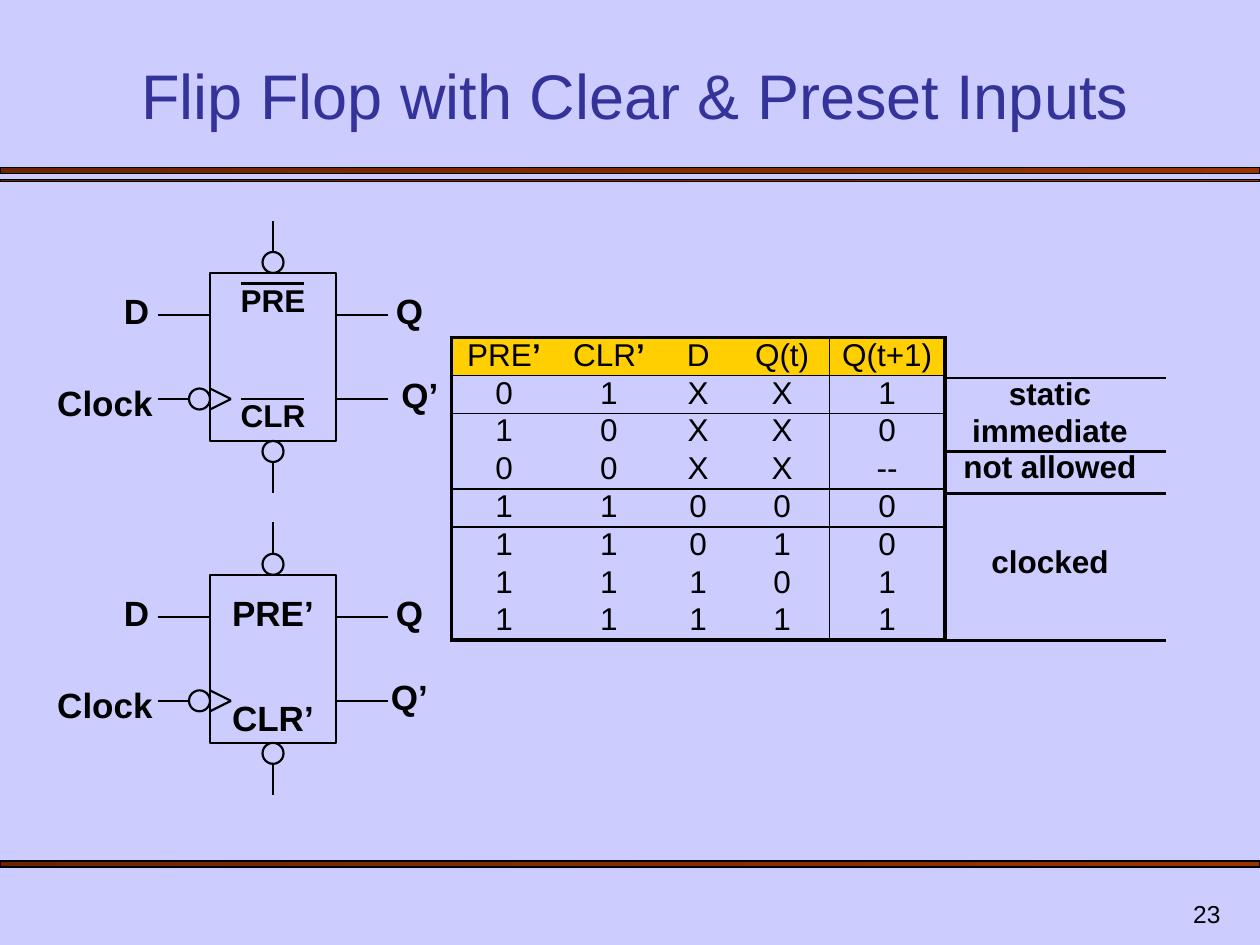
from lxml import etree
from pptx import Presentation
from pptx.dml.color import RGBColor
from pptx.enum.shapes import MSO_CONNECTOR, MSO_SHAPE
from pptx.enum.text import MSO_ANCHOR, MSO_AUTO_SIZE, PP_ALIGN
from pptx.oxml.ns import qn
from pptx.util import Pt

RECT, OVAL = MSO_SHAPE.RECTANGLE, MSO_SHAPE.OVAL
WIRE = MSO_CONNECTOR.STRAIGHT
TOP, BASE = MSO_ANCHOR.TOP, MSO_ANCHOR.BOTTOM
MID, RIGHT = PP_ALIGN.CENTER, PP_ALIGN.RIGHT
FIXED = MSO_AUTO_SIZE.NONE

BLACK, PAPER, NAVY, GOLD = "000000", "CCCCFF", "333399", "FFCF01"
RUST = ("6D2400", "993300")
THIN, THICK, STROKE = 1, 2.25, 1.25
PLAIN = "{2D5ABB26-0587-4C30-8999-92F81FD0307C}"  # table style without grid

COLS = (60, 60, 42, 54, 66)
ROW = 21.6
HEAD = ("PRE’", "CLR’", "D", "Q(t)", "Q(t+1)")
BODY = ("0 1 X X 1", "1 0 X X 0", "0 0 X X --", "1 1 0 0 0",
        "1 1 0 1 0", "1 1 1 0 1", "1 1 1 1 1")


def paint(color, code):
    color.rgb = RGBColor.from_string(code)


def flood(fill, code):
    fill.solid()
    paint(fill.fore_color, code)


def style(obj, **values):
    for name, value in values.items():
        setattr(obj, name, value)


def write(frame, text, size, code=BLACK, bold=False, align=MID, **values):
    style(frame, word_wrap=True, auto_size=FIXED, **values)
    para = frame.paragraphs[0]
    para.alignment = align
    para.text = text
    for run in para.runs:
        style(run.font, name="Arial", size=Pt(size), bold=bold)
        paint(run.font.color, code)


def label(shapes, text, x, y, w, h=31, size=20, bold=True, align=MID,
          anchor=TOP):
    box = shapes.add_textbox(Pt(x), Pt(y), Pt(w), Pt(h))
    write(box.text_frame, text, size, bold=bold, align=align,
          vertical_anchor=anchor)


def shape(shapes, kind, x, y, w, h, width=STROKE):
    item = shapes.add_shape(kind, Pt(x), Pt(y), Pt(w), Pt(h))
    item.shadow.inherit = False
    item.fill.background()
    item.line.width = Pt(width)
    paint(item.line.color, BLACK)
    return item


def wire(shapes, x1, y1, x2, y2):
    item = shapes.add_connector(WIRE, Pt(x1), Pt(y1), Pt(x2), Pt(y2))
    item.line.width = Pt(STROKE)
    paint(item.line.color, BLACK)
    etree.SubElement(item._element.spPr, qn("a:effectLst"))


def band(shapes, y, h):
    bar = shape(shapes, RECT, 0, y, 720, h, 0.75)
    bar.fill.gradient()
    bar.fill.gradient_angle = 0
    for stop, code in zip(bar.fill.gradient_stops, RUST):
        paint(stop.color, code)


def flop(slide, x, y, names, qbar, bars=()):
    """Draw one flip flop whose body has its corner at x, y."""
    shapes = slide.shapes.add_group_shape().shapes
    shape(shapes, RECT, x, y, 72, 96)
    # Inverting bubbles: clock, preset, clear
    for dx, dy in ((-12, 66), (30, -12), (30, 96)):
        shape(shapes, OVAL, x + dx, y + dy, 12, 12)
    # Clock wedge, then inputs, outputs and stems
    for x1, y1, x2, y2 in ((0, 78, 12, 72), (0, 66, 12, 72),
                           (-30, 24, 0, 24), (-30, 72, -12, 72),
                           (72, 24, 102, 24), (72, 72, 102, 72),
                           (36, -30, 36, -12), (36, 108, 36, 126)):
        wire(shapes, x + x1, y + y1, x + x2, y + y2)
    for text, dx, dy, w in (("D", -60, 6, 36), ("Q", 96, 6, 36),
                            ("Q’", qbar, 54, 36), ("Clock", -102, 58.5, 84)):
        label(shapes, text, x + dx, y + dy, w)
    for text, dy, size in names:
        label(shapes, text, x, y + dy, 72, size=size)
    for dy in bars:
        wire(shapes, x + 18, y + dy, x + 54, y + dy)


def edge(cell, side, width):
    line = etree.SubElement(cell._tc.get_or_add_tcPr(), qn("a:ln" + side),
                            w=str(Pt(width)))
    fill = etree.SubElement(line, qn("a:solidFill"))
    etree.SubElement(fill, qn("a:srgbClr"), val=BLACK)


def truth(shapes, x, y):
    rows = [HEAD] + [line.split() for line in BODY]
    last, end = len(rows) - 1, len(COLS) - 1
    frame = shapes.add_table(len(rows), len(COLS), Pt(x), Pt(y),
                             Pt(sum(COLS)), Pt(ROW * len(rows)))
    table = frame.table
    style(table, first_row=False, horz_banding=False)
    table._tbl.tblPr.find(qn("a:tableStyleId")).text = PLAIN
    for col, width in zip(table.columns, COLS):
        col.width = Pt(width)
    for r, row in enumerate(rows):
        table.rows[r].height = Pt(ROW)
        for c, text in enumerate(row):
            cell = table.cell(r, c)
            style(cell, margin_left=Pt(6), margin_right=Pt(6),
                  margin_top=0, margin_bottom=0)
            write_cell(cell, text)
            # Thick frame, thin rules under the header, row 3 and column 3
            sides = {
                "L": {0: THICK, end: THIN}.get(c),
                "R": {end: THICK, end - 1: THIN}.get(c),
                "T": {0: THICK, 1: THIN, 4: THIN}.get(r),
                "B": {0: THIN, 3: THIN, last: THICK}.get(r),
            }
            for side, width in sides.items():
                if width:
                    edge(cell, side, width)
            if r == 0:
                flood(cell.fill, GOLD)
            else:
                cell.fill.background()


def write_cell(cell, text):
    para = cell.text_frame.paragraphs[0]
    para.alignment = MID
    stem = text.rstrip("’")
    for part, bold in ((stem, False), (text[len(stem):], True)):
        if part:
            run = para.add_run()
            run.text = part
            style(run.font, name="Arial", size=Pt(18), bold=bold)
            paint(run.font.color, BLACK)


def main():
    deck = Presentation()
    style(deck, slide_width=Pt(720), slide_height=Pt(540))
    slide = deck.slides.add_slide(deck.slide_layouts[5])
    shapes = slide.shapes
    flood(slide.background.fill, PAPER)

    # Bands, page number and title
    for y, h in ((95.75, 3.5), (102.5, 1.25), (492, 3.5)):
        band(shapes, y, h)
    label(shapes, "23", 554.5, 504, 150, 30, 14, False, RIGHT, BASE)
    title = shapes.title
    style(title, left=Pt(42), top=Pt(30), width=Pt(642), height=Pt(49))
    write(title.text_frame, "Flip Flop with Clear & Preset Inputs", 36, NAVY,
          vertical_anchor=BASE)

    # Both notations of the flip flop
    flop(slide, 120, 328.5, (("PRE’", 6, 20), ("CLR’", 66, 20)), 96)
    flop(slide, 120, 156, (("PRE", 1, 18), ("CLR", 67, 18)), 102, (6, 72))

    # Truth table with its notes
    truth(shapes, 258, 193)
    for text, x, y, w, h in (("static\vimmediate", 522, 210, 156, 50),
                             ("not allowed", 540, 252, 120, 29),
                             ("clocked", 540, 306, 120, 29)):
        label(shapes, text, x, y, w, h, 18)
    for y in (216, 258, 282, 366):
        wire(shapes, 540, y, 666, y)

    deck.save("out.pptx")


if __name__ == "__main__":
    main()
